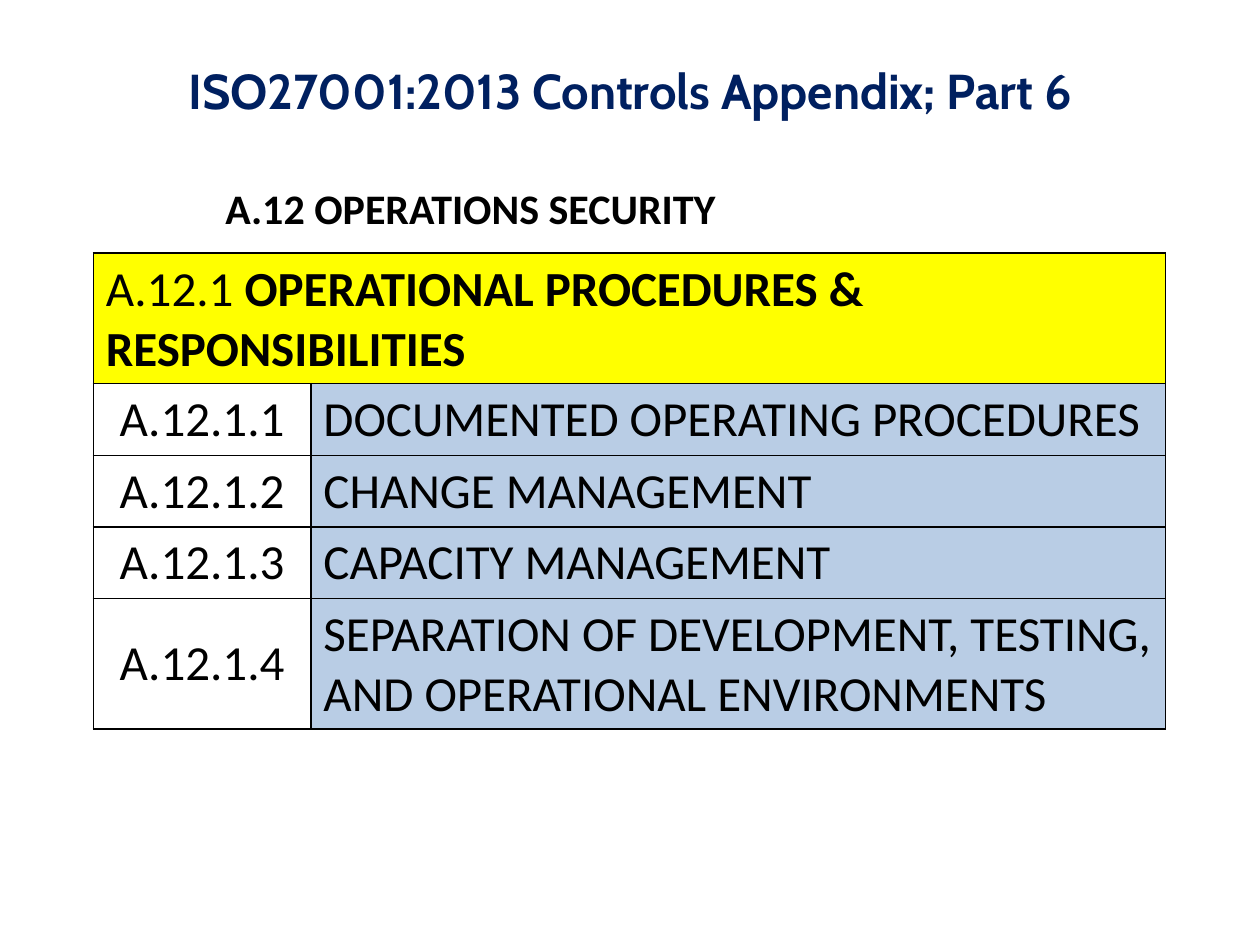
from lxml import etree
from pptx import Presentation
from pptx.dml.color import RGBColor
from pptx.enum.text import MSO_ANCHOR, PP_ALIGN
from pptx.oxml.ns import qn
from pptx.util import Inches, Pt

MIDDLE, TOP = MSO_ANCHOR.MIDDLE, MSO_ANCHOR.TOP
CENTER, LEFT = PP_ALIGN.CENTER, PP_ALIGN.LEFT
COLORS = {"title": "002060", "ink": "000000", "section": "FFFF00", "control": "B9CDE5"}
WIDTH, HEIGHT = 10, 7.5
TITLE_BOX = (0.05, 0.03, 0.9, 0.13)
HEADING_BOX = (0.169, 0.187, 0.413, 0.067)
TABLE_BOX = (0.074, 0.268, 0.851, 0.503)
COLUMN_SHARES = (0.203, 0.797)
ONE_LINE, TWO_LINES = 0.151, 0.273
SECTION = ("A.12.1 ", "OPERATIONAL PROCEDURES & RESPONSIBILITIES")
CONTROLS = [
    ("A.12.1.1", "DOCUMENTED OPERATING PROCEDURES", ONE_LINE),
    ("A.12.1.2", "CHANGE MANAGEMENT", ONE_LINE),
    ("A.12.1.3", "CAPACITY MANAGEMENT", ONE_LINE),
    ("A.12.1.4", "SEPARATION OF DEVELOPMENT, TESTING, AND OPERATIONAL ENVIRONMENTS", TWO_LINES),
]


def place(box):
    """Turn shares of the slide into lengths."""
    return [Inches(share * side) for share, side in zip(box, (WIDTH, HEIGHT) * 2)]


def style(font, size, color="ink", bold=False, face="Calibri"):
    """Set the look of a font."""
    font.name, font.size, font.bold = face, Pt(size), bold
    font.color.rgb = RGBColor.from_string(COLORS[color])


def add_line_of_text(slide, box, text, size, align=LEFT, anchor=TOP, wrap=True, **look):
    """Add a bold single-paragraph text box."""
    frame = slide.shapes.add_textbox(*place(box)).text_frame
    frame.text = text
    frame.word_wrap, frame.vertical_anchor = wrap, anchor
    paragraph = frame.paragraphs[0]
    paragraph.alignment = align
    style(paragraph.runs[0].font, size, bold=True, **look)


def add_borders(cell):
    """Draw a thin line on all four sides of a cell."""
    properties = cell._tc.get_or_add_tcPr()
    for index, side in enumerate(("a:lnL", "a:lnR", "a:lnT", "a:lnB")):
        line = etree.Element(qn(side), w=str(Pt(1)))
        fill = etree.SubElement(line, qn("a:solidFill"))
        etree.SubElement(fill, qn("a:srgbClr"), val=COLORS["ink"])
        properties.insert(index, line)


def fill_cell(cell, parts, color=None, align=LEFT, anchor=MIDDLE):
    """Write (text, bold) parts into a cell and paint it."""
    paragraph = cell.text_frame.paragraphs[0]
    paragraph.alignment, cell.vertical_anchor = align, anchor
    for text, bold in parts:
        run = paragraph.add_run()
        run.text = text
        style(run.font, 28, bold=bold)
    if color:
        cell.fill.solid()
        cell.fill.fore_color.rgb = RGBColor.from_string(COLORS[color])
    else:
        cell.fill.background()


def add_controls_table(slide, box):
    """Add the section row and one row for each control."""
    left, top, width, height = place(box)
    table = slide.shapes.add_table(
        len(CONTROLS) + 1, len(COLUMN_SHARES), left, top, width, height).table
    table.first_row = table.horz_banding = False
    for column, share in zip(table.columns, COLUMN_SHARES):
        column.width = int(width * share)
    row_shares = [TWO_LINES] + [share for _, _, share in CONTROLS]
    for row, share in zip(table.rows, row_shares):
        row.height = int(height * share)

    section = table.cell(0, 0)
    section.merge(table.cell(0, 1))
    fill_cell(section, zip(SECTION, (False, True)), "section", anchor=TOP)
    for row, (number, control, _) in enumerate(CONTROLS, 1):
        fill_cell(table.cell(row, 0), [(number, False)], align=CENTER)
        fill_cell(table.cell(row, 1), [(control, False)], "control")
    for cell in table.iter_cells():
        add_borders(cell)


def main():
    """Build the slide and save it."""
    deck = Presentation()
    deck.slide_width, deck.slide_height = Inches(WIDTH), Inches(HEIGHT)
    slide = deck.slides.add_slide(deck.slide_layouts[6])
    add_line_of_text(slide, TITLE_BOX, "ISO27001:2013 Controls Appendix; Part 6", 28,
                     CENTER, MIDDLE, color="title", face="Cabin")
    add_line_of_text(slide, HEADING_BOX, "A.12 OPERATIONS SECURITY", 24, wrap=False)
    add_controls_table(slide, TABLE_BOX)
    deck.save("out.pptx")


if __name__ == "__main__":
    main()
